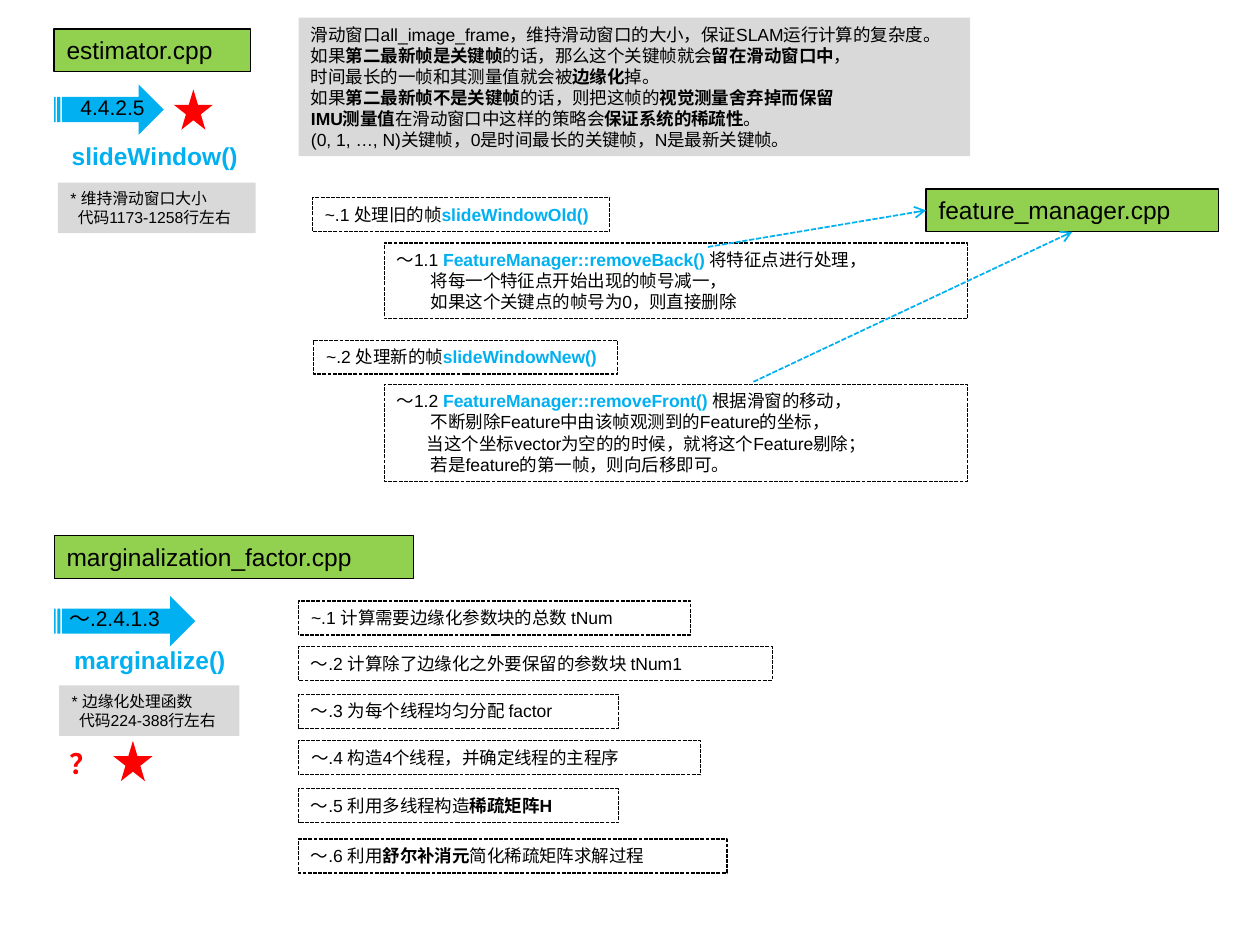
"""Build the slide on sliding-window upkeep and marginalization."""
from lxml.etree import SubElement
from pptx import Presentation
from pptx.dml.color import RGBColor
from pptx.enum.dml import MSO_LINE
from pptx.enum.shapes import MSO_CONNECTOR, MSO_SHAPE
from pptx.enum.text import MSO_ANCHOR, MSO_AUTO_SIZE, PP_ALIGN
from pptx.oxml.ns import qn
from pptx.util import Inches, Pt

BLACK, BLUE, GREEN, GREY, RED = "000000", "00B0F0", "92D050", "D9D9D9", "FF0000"


def paint(color_format, color):
    color_format.rgb = RGBColor.from_string(color)


def add_box(place, lines, size=10, fill=None, border=None, dash=None, accent=BLACK,
            wrap=False, shape=MSO_SHAPE.RECTANGLE, indents=()):
    """Add a shape; text between bars is bold and takes the accent colour."""
    box = page.shapes.add_shape(shape, *map(Inches, place))
    box.shadow.inherit = False
    if fill:
        box.fill.solid()
        paint(box.fill.fore_color, fill)
    else:
        box.fill.background()
    if border:
        paint(box.line.color, border)
        box.line.width = Pt(0.75)
        box.line.dash_style = dash
    else:
        box.line.fill.background()
    if not lines:
        return
    frame = box.text_frame
    settings = {"word_wrap": wrap, "auto_size": MSO_AUTO_SIZE.SHAPE_TO_FIT_TEXT,
                "vertical_anchor": MSO_ANCHOR.TOP}
    for name, value in settings.items():
        setattr(frame, name, value)
    for index, line in enumerate(lines):
        para = frame.paragraphs[0] if index == 0 else frame.add_paragraph()
        para.alignment = PP_ALIGN.LEFT
        if index < len(indents):
            para._p.get_or_add_pPr().set("marL", str(Inches(indents[index])))
        for part, text in enumerate(line.split("|")):
            if not text:
                continue
            strong = part % 2 == 1
            span = para.add_run()
            span.text = text
            for name, value in {"name": "Arial", "size": Pt(size), "bold": strong}.items():
                setattr(span.font, name, value)
            paint(span.font.color, accent if strong else BLACK)


deck = Presentation()
deck.slide_width, deck.slide_height = Inches(10), Inches(7.5)
page = deck.slides.add_slide(deck.slide_layouts[6])

files = [
    ((0.43, 0.23, 1.56, 0.34), "estimator.cpp"),
    ((7.35, 1.5, 2.32, 0.34), "feature_manager.cpp"),
    ((0.43, 4.25, 2.85, 0.34), "marginalization_factor.cpp"),
]
for place, name in files:
    add_box(place, [name], size=14, fill=GREEN, border=BLACK, wrap=True)

for place in [(0.43, 0.67, 0.87, 0.4), (0.43, 4.73, 1.12, 0.4)]:
    add_box(place, [], fill=BLUE, shape=MSO_SHAPE.STRIPED_RIGHT_ARROW)
for place in [(1.38, 0.71, 0.31, 0.32), (0.9, 5.88, 0.31, 0.32)]:
    add_box(place, [], fill=RED, shape=MSO_SHAPE.STAR_5_POINT)

labels = [
    ((0.54, 0.7, 0.71, 0.3), "4.4.2.5", 12, BLACK),
    ((0.45, 4.76, 0.96, 0.3), "～.2.4.1.3", 12, BLACK),
    ((0.47, 1.07, 1.52, 0.34), "|slideWindow()|", 14, BLUE),
    ((0.49, 5.07, 1.4, 0.34), "|marginalize()|", 14, BLUE),
    ((0.45, 5.88, 0.42, 0.37), "|？|", 16, RED),
]
for place, text, size, accent in labels:
    add_box(place, [text], size=size, accent=accent)

notes = [
    ((0.46, 1.45, 1.57, 0.4), ["* 维持滑动窗口大小", "代码1173-1258行左右"]),
    ((0.47, 5.44, 1.43, 0.4), ["* 边缘化处理函数", "代码224-388行左右"]),
]
for place, lines in notes:
    add_box(place, lines, size=9, fill=GREY, indents=(0, 0.06))

add_box((2.37, 0.14, 5.33, 1.1), [
    "滑动窗口all_image_frame，维持滑动窗口的大小，保证SLAM运行计算的复杂度。",
    "如果|第二最新帧是关键帧|的话，那么这个关键帧就会|留在滑动窗口中|，",
    "时间最长的一帧和其测量值就会被|边缘化|掉。",
    "如果|第二最新帧不是关键帧|的话，则把这帧的|视觉测量舍弃掉而保留|",
    "|IMU测量值|在滑动窗口中这样的策略会|保证系统的稀疏性|。",
    "(0, 1, …, N)关键帧，0是时间最长的关键帧，N是最新关键帧。",
], fill=GREY)

dashed = {"border": BLACK, "dash": MSO_LINE.SQUARE_DOT}
window_steps = [
    ((2.48, 1.57, 2.36, 0.27), "~.1 处理旧的帧|slideWindowOld()|"),
    ((2.49, 2.7, 2.41, 0.27), "~.2 处理新的帧|slideWindowNew()|"),
]
for place, text in window_steps:
    add_box(place, [text], accent=BLUE, **dashed)

feature_steps = [
    ((3.05, 1.93, 4.63, 0.6), (0, 0.27, 0.27), [
        "～1.1 |FeatureManager::removeBack() |将特征点进行处理，",
        "将每一个特征点开始出现的帧号减一，",
        "如果这个关键点的帧号为0，则直接删除"]),
    ((3.05, 3.05, 4.63, 0.77), (0, 0.27, 0.24, 0.27), [
        "～1.2 |FeatureManager::removeFront() |根据滑窗的移动，",
        "不断剔除Feature中由该帧观测到的Feature的坐标，",
        "当这个坐标vector为空的的时候，就将这个Feature剔除；",
        "若是feature的第一帧，则向后移即可。"]),
]
for place, indents, lines in feature_steps:
    add_box(place, lines, accent=BLUE, wrap=True, indents=indents, **dashed)

marginalize_steps = [
    (4.77, 3.11, "~.1 计算需要边缘化参数块的总数 tNum"),
    (5.13, 3.76, "～.2 计算除了边缘化之外要保留的参数块 tNum1"),
    (5.51, 2.54, "～.3 为每个线程均匀分配 factor"),
    (5.88, 3.19, "～.4 构造4个线程，并确定线程的主程序"),
    (6.26, 2.54, "～.5 利用多线程构造|稀疏矩阵H|"),
    (6.66, 3.4, "～.6 利用|舒尔补消元|简化稀疏矩阵求解过程"),
]
for top, width, text in marginalize_steps:
    add_box((2.37, top, width, 0.27), [text], wrap=True, **dashed)

for ends in [(5.62, 1.96, 7.35, 1.67), (5.98, 3.03, 8.51, 1.84)]:
    link = page.shapes.add_connector(MSO_CONNECTOR.STRAIGHT, *map(Inches, ends))
    paint(link.line.color, BLUE)
    link.line.width = Pt(1)
    link.line.dash_style = MSO_LINE.SQUARE_DOT
    SubElement(link.line._get_or_add_ln(), qn("a:tailEnd"), type="arrow")
    SubElement(link._element.spPr, qn("a:effectLst"))

deck.save("out.pptx")
